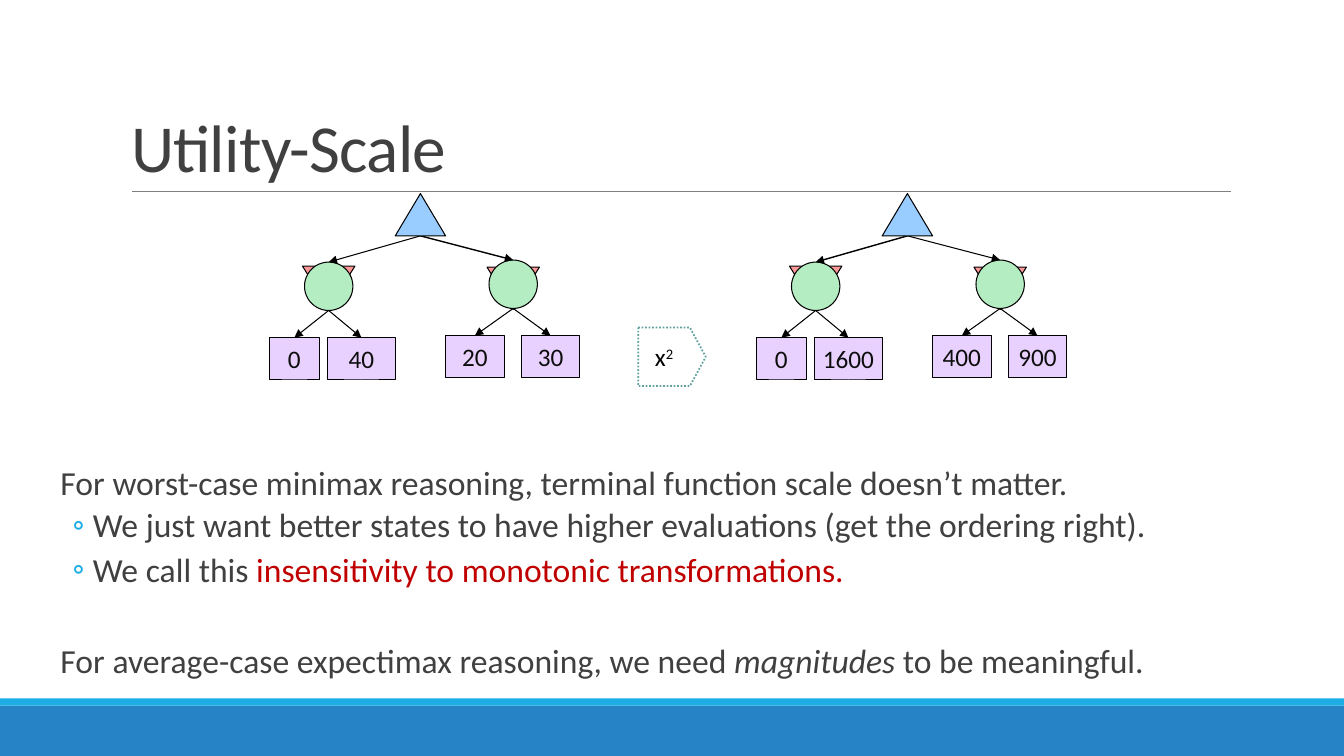
import lxml.etree
import pptx
import pptx.dml.color
import pptx.enum.dml
import pptx.enum.shapes
import pptx.enum.text
import pptx.oxml.ns
import pptx.util

TITLE = "Utility-Scale"
TREES = [
    {"left": 267, "leaves": ["0", "40", "20", "30"], "branch_widths": [0.75, 1]},
    {"left": 750, "leaves": ["0", "1600", "400", "900"], "branch_widths": [1, 0.75]},
]
ROOT = (125, 192, 50, 42)
BRANCHES = [
    {"flap": (33, 264, 52, 42), "node": (35, 260, 48, 48),
     "leaves": [(0, 335, 50, 42), (58, 335, 67, 42)]},
    {"flap": (216, 265, 52, 42), "node": (218, 258, 48, 48),
     "leaves": [(175, 333, 58, 42), (250, 333, 58, 42)]},
]
SQUARE_ARROW = (633, 325, 67, 58)
BARS = [((0, 700, 1333, 50), "2683C6"), ((0, 693, 1333, 7), "1CADE4")]
GREY, RED, BLACK = "404040", "C00000", "000000"
MAIN = {"space_before": 12, "space_after": 2, "margin": 10, "hanging": 0, "bullet": None}
SUB = {"space_before": 2, "space_after": 4, "margin": 42, "hanging": 20, "bullet": "◦"}
BODY = [
    (MAIN, [("For worst-case minimax reasoning, terminal function scale doesn’t matter.", GREY, {})]),
    (SUB, [("We just want better states to have higher evaluations (get the ordering right).", GREY, {})]),
    (SUB, [("We call this ", GREY, {}), ("insensitivity to monotonic transformations.", RED, {})]),
    ({**MAIN, "space_before": 35},
     [("For average-case expectimax reasoning, we need ", GREY, {}),
      ("magnitudes", GREY, {"italic": True}), (" to be meaningful.", GREY, {})]),
]

SHAPE = pptx.enum.shapes.MSO_SHAPE
ALIGN = pptx.enum.text.PP_ALIGN
ANCHOR = pptx.enum.text.MSO_ANCHOR
Pt = pptx.util.Pt


def px(n):
    return pptx.util.Emu(round(n * 9144))


def color(value):
    return pptx.dml.color.RGBColor.from_string(value)


def sub(parent, tag, **attrs):
    return lxml.etree.SubElement(parent, pptx.oxml.ns.qn(tag), attrs)


def set_all(target, values):
    for name, value in values.items():
        setattr(target, name, value)


def add_run(p, text, size, value, **font):
    r = p.add_run()
    r.text = text
    set_all(r.font, {"name": "Calibri", "size": Pt(size), **font})
    r.font.color.rgb = color(value)
    return r


def add_shape(s, kind, box, fill, line=BLACK, width=0.75):
    sp = s.shapes.add_shape(kind, *map(px, box))
    sp.shadow.inherit = False
    sp.fill.solid()
    sp.fill.fore_color.rgb = color(fill)
    if line:
        sp.line.color.rgb = color(line)
        sp.line.width = Pt(width)
    else:
        sp.line.fill.background()
    return sp


def add_line(s, start, end, value=BLACK, width=0.75, target=None):
    c = s.shapes.add_connector(pptx.enum.shapes.MSO_CONNECTOR.STRAIGHT, *map(px, start + end))
    c.line.color.rgb = color(value)
    c.line.width = Pt(width)
    spPr = c._element.spPr
    if target is not None:
        c.end_connect(target, 0)
        sub(spPr.find(pptx.oxml.ns.qn("a:ln")), "a:tailEnd", type="triangle")
    sub(spPr, "a:effectLst")


def top(box):
    return box[0] + box[2] / 2, box[1]


def bottom(box):
    return box[0] + box[2] / 2, box[1] + box[3]


def add_leaf(s, box, text):
    sp = add_shape(s, SHAPE.RECTANGLE, box, "E8D1FF")
    set_all(sp.text_frame, {"word_wrap": False, "vertical_anchor": ANCHOR.MIDDLE})
    p = sp.text_frame.paragraphs[0]
    p.alignment = ALIGN.CENTER
    add_run(p, text, 18, "0D0D0D")
    return sp


def add_tree(s, tree):
    def place(box):
        return (box[0] + tree["left"],) + box[1:]

    labels = iter(tree["leaves"])
    root = place(ROOT)
    for branch, width in zip(BRANCHES, tree["branch_widths"]):
        flap = add_shape(s, SHAPE.ISOSCELES_TRIANGLE, place(branch["flap"]), "FF9999")
        flap.rotation = 180
        node = place(branch["node"])
        circle = add_shape(s, SHAPE.OVAL, node, "B5EDC2")
        add_line(s, bottom(root), top(node), width=width, target=circle)
        for box in map(place, branch["leaves"]):
            leaf = add_leaf(s, box, next(labels))
            add_line(s, bottom(node), top(box), target=leaf)
    add_shape(s, SHAPE.ISOSCELES_TRIANGLE, root, "99CCFF")


def add_square_arrow(s):
    sp = add_shape(s, SHAPE.RIGHT_ARROW, SQUARE_ARROW, "FFFFFF", "62A39F", 1.25)
    sp.line.dash_style = pptx.enum.dml.MSO_LINE.ROUND_DOT
    sp.adjustments[0], sp.adjustments[1] = 1, 0.27
    set_all(sp.text_frame, {"word_wrap": True, "vertical_anchor": ANCHOR.MIDDLE})
    p = sp.text_frame.paragraphs[0]
    p.alignment = ALIGN.CENTER
    add_run(p, "x", 18, BLACK)
    add_run(p, "2", 18, BLACK)._r.get_or_add_rPr().set("baseline", "30000")


def add_title(s):
    sp = s.shapes.title
    set_all(sp, {"left": px(120), "top": px(31), "width": px(1100), "height": px(159)})
    set_all(sp.text_frame, {"word_wrap": True, "vertical_anchor": ANCHOR.BOTTOM,
                            "auto_size": pptx.enum.text.MSO_AUTO_SIZE.NONE})
    p = sp.text_frame.paragraphs[0]
    set_all(p, {"alignment": ALIGN.LEFT, "line_spacing": 0.85})
    add_run(p, TITLE, 48, GREY)._r.get_or_add_rPr().set("spc", "-50")


def add_body(s):
    tf = s.shapes.add_textbox(*map(px, (50, 458, 1208, 258))).text_frame
    set_all(tf, {"word_wrap": True, "margin_left": 0, "margin_right": 0})
    for i, (style, runs) in enumerate(BODY):
        p = tf.add_paragraph() if i else tf.paragraphs[0]
        set_all(p, {"line_spacing": 0.9, "space_before": Pt(style["space_before"]),
                    "space_after": Pt(style["space_after"])})
        pPr = p._p.get_or_add_pPr()
        pPr.set("marL", str(px(style["margin"])))
        pPr.set("indent", str(px(-style["hanging"])))
        if style["bullet"]:
            p.level = 1
            sub(sub(pPr, "a:buClr"), "a:srgbClr", val="1CADE4")
            sub(pPr, "a:buFont", typeface="Calibri")
            sub(pPr, "a:buChar", char=style["bullet"])
        for text, value, font in runs:
            add_run(p, text, 24, value, **font)


def main():
    prs = pptx.Presentation()
    set_all(prs, {"slide_width": px(1333), "slide_height": px(750)})
    s = prs.slides.add_slide(prs.slide_layouts[5])
    for box, fill in BARS:
        add_shape(s, SHAPE.RECTANGLE, box, fill, None)
    add_line(s, (131, 190), (1221, 190), "808080", 0.5)
    add_title(s)
    add_body(s)
    for tree in TREES:
        add_tree(s, tree)
    add_square_arrow(s)
    prs.save("out.pptx")


if __name__ == "__main__":
    main()
